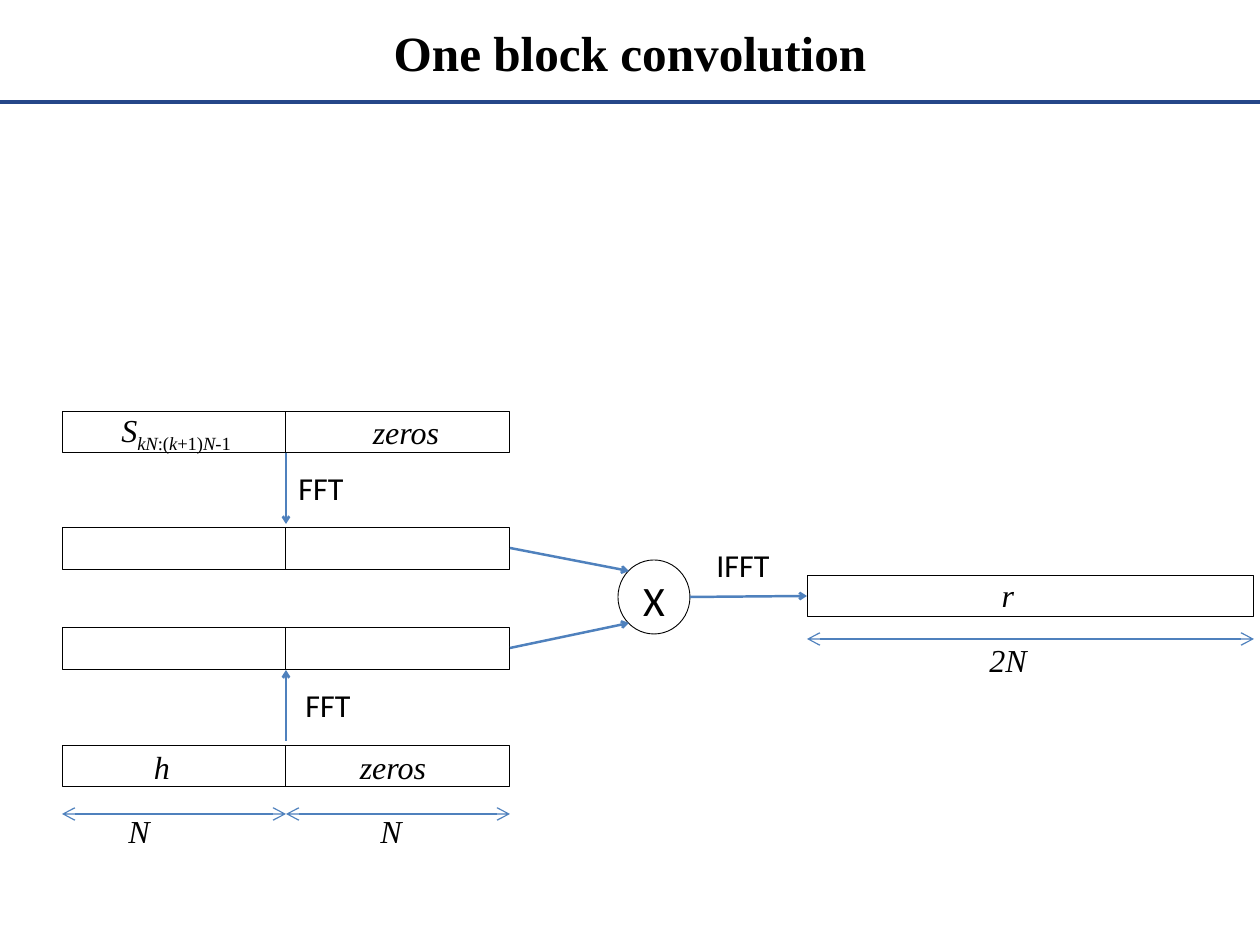
from lxml import etree
from pptx import Presentation
from pptx import util as u
from pptx.dml.color import RGBColor
from pptx.enum import shapes, text
from pptx.oxml import ns

PX = 10321
BLACK = RGBColor(0x00, 0x00, 0x00)
BLUE = RGBColor(0x4F, 0x81, 0xBD)
NAVY = RGBColor(0x25, 0x47, 0x89)
SERIF, SANS = "Times New Roman", "Calibri"
CELL_H = 42


def px(*nums):
    return [u.Emu(round(n * PX)) for n in nums]


def write(frame, runs, size=26, face=SERIF, bold=False, italic=True):
    """Fill a frame with one centred line; runs is a string or (text, italic, baseline) tuples."""
    frame.margin_left = frame.margin_right = frame.margin_top = frame.margin_bottom = 0
    frame.vertical_anchor = text.MSO_ANCHOR.MIDDLE
    frame.word_wrap = True
    para = frame.paragraphs[0]
    para.alignment = text.PP_ALIGN.CENTER
    if isinstance(runs, str):
        runs = [(runs, italic, 0)]
    for words, slant, base in runs:
        run = para.add_run()
        run.text = words
        font = run.font
        font.name, font.size = face, u.Pt(size)
        font.bold, font.italic = bold, slant
        font.color.rgb = BLACK
        if base:
            run._r.get_or_add_rPr().set("baseline", str(base * 1000))


def label(slide, mid, y, runs, wide=120, **form):
    """Place text centred on the point (mid, y)."""
    box = slide.shapes.add_textbox(*px(mid - wide / 2, y - 26, wide, 52))
    write(box.text_frame, runs, **form)


def outline(slide, x, y, w, h, kind=shapes.MSO_SHAPE.RECTANGLE):
    shape = slide.shapes.add_shape(kind, *px(x, y, w, h))
    shape.shadow.inherit = False
    shape.fill.background()
    shape.line.color.rgb = BLACK
    shape.line.width = u.Pt(0.75)


def line(slide, x1, y1, x2, y2, color=BLUE, width=2, ends=(), size="med"):
    """Draw a line; ends holds the tags of the ends that carry an arrowhead."""
    conn = slide.shapes.add_connector(shapes.MSO_CONNECTOR.STRAIGHT, *px(x1, y1, x2, y2))
    conn.line.color.rgb = color
    conn.line.width = u.Pt(width)
    props = conn._element.spPr
    for end in ends:
        etree.SubElement(props.find(ns.qn("a:ln")), ns.qn("a:" + end),
                         type="arrow", w=size, len=size)
    etree.SubElement(props, ns.qn("a:effectLst"))


def arrow(slide, *points):
    line(slide, *points, ends=("tailEnd",))


def span(slide, x, y, w):
    line(slide, x, y, x + w, y, width=1, ends=("headEnd", "tailEnd"), size="lg")


def header(slide, x, y, w, h):
    title = slide.shapes.title
    title.left, title.top, title.width, title.height = px(x + 63, y, w - 126, h)
    write(title.text_frame, "One block convolution", size=40, bold=True, italic=False)
    line(slide, x, y + h - 1, x + w, y + h - 1, color=NAVY, width=3)


def inputs(slide, x, y, w, h):
    """Two padded blocks, their transforms and the block lengths."""
    half = w / 2
    mid = x + half
    rows = [y, y + 117, y + 217, y + 334]
    for top in rows:
        for left in (x, mid):
            outline(slide, left, top, half, CELL_H)

    signal = [("S", True, 0)] + [
        (part, slant, -25) for part, slant in
        [("kN", True), (":(", False), ("k", True), ("+1)", False), ("N", True), ("-1", False)]]
    label(slide, x + 114, y + 21, signal, wide=180)
    label(slide, x + 344, y + 21, "zeros")
    label(slide, x + 100, rows[3] + 22, "h")
    label(slide, x + 331, rows[3] + 22, "zeros")

    arrow(slide, mid, y + CELL_H, mid, rows[1] - 4)
    arrow(slide, mid, rows[3] - 4, mid, rows[2] + CELL_H)
    label(slide, mid + 35, y + 77, "FFT", face=SANS, italic=False)
    label(slide, mid + 42, y + 294, "FFT", face=SANS, italic=False)

    for left, centre in ((x, x + 77), (mid, x + 329)):
        span(slide, left, y + h, half)
        label(slide, centre, y + h + 17, "N")


def product(slide, x, y, w, h):
    """Multiplier circle with its two incoming arrows and the inverse transform."""
    outline(slide, x, y, w, h, shapes.MSO_SHAPE.OVAL)
    label(slide, x + w / 2, y + h / 2 + 3, "X", size=34, face=SANS, italic=False)
    arrow(slide, x - 108, y - 12, x + 11, y + 11)
    arrow(slide, x - 108, y + 88, x + 11, y + h - 11)
    arrow(slide, x + w, y + h / 2, x + w + 117, y + h / 2 - 1)
    label(slide, x + w + 53, y + 5, "IFFT", face=SANS, italic=False)


def result(slide, x, y, w, h):
    outline(slide, x, y, w, CELL_H)
    label(slide, x + 201, y + 20, "r")
    span(slide, x, y + h, w)
    label(slide, x + 201, y + h + 21, "2N")


def main():
    deck = Presentation()
    deck.slide_width, deck.slide_height = px(1260, 945)
    slide = deck.slides.add_slide(deck.slide_layouts[5])
    header(slide, 0, 0, 1260, 103)
    inputs(slide, 62, 411, 448, 403)
    product(slide, 618, 560, 72, 74)
    result(slide, 807, 575, 447, 64)
    deck.save("out.pptx")


if __name__ == "__main__":
    main()
